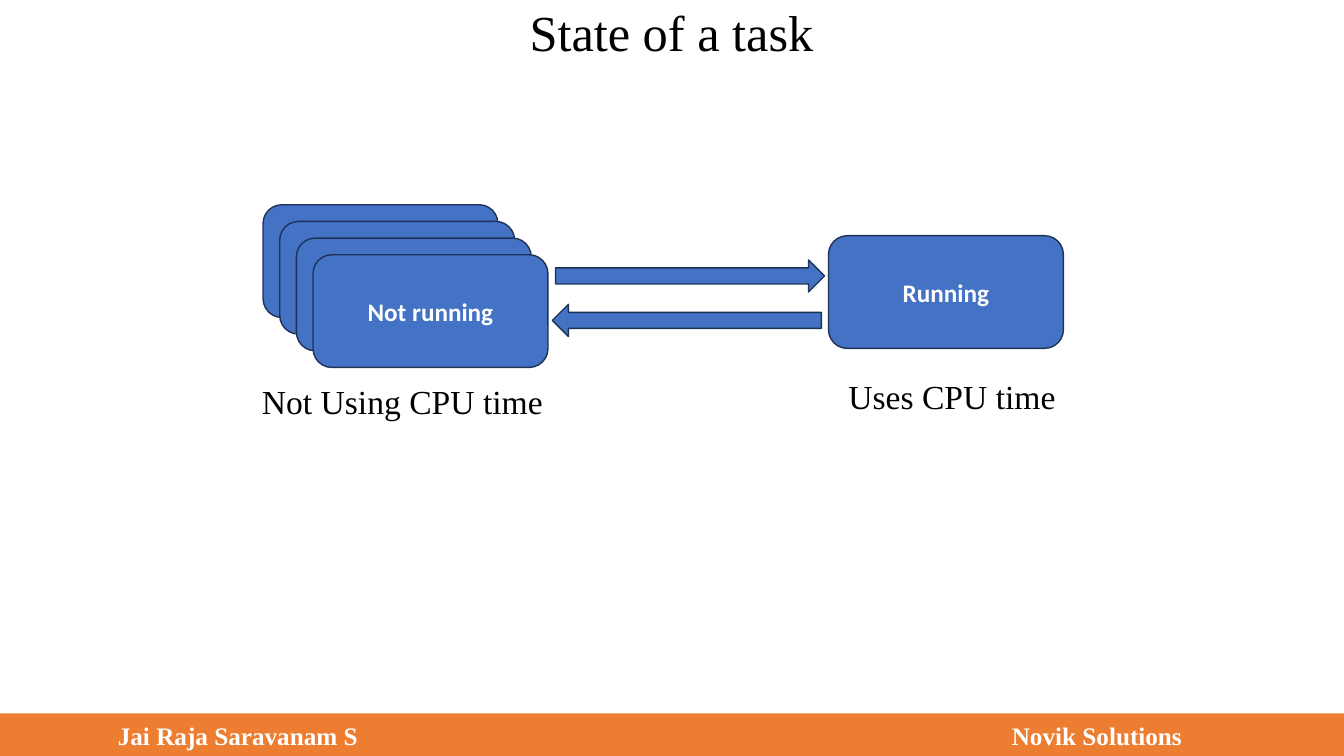
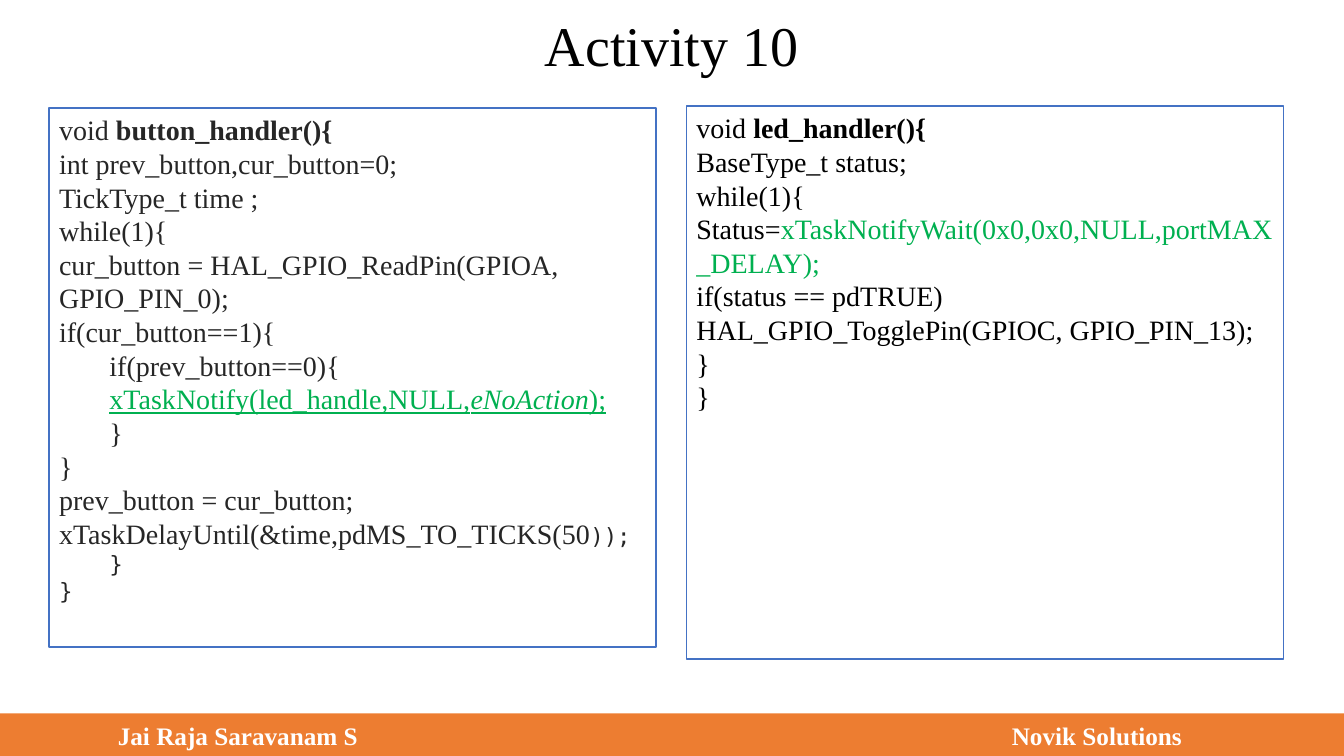
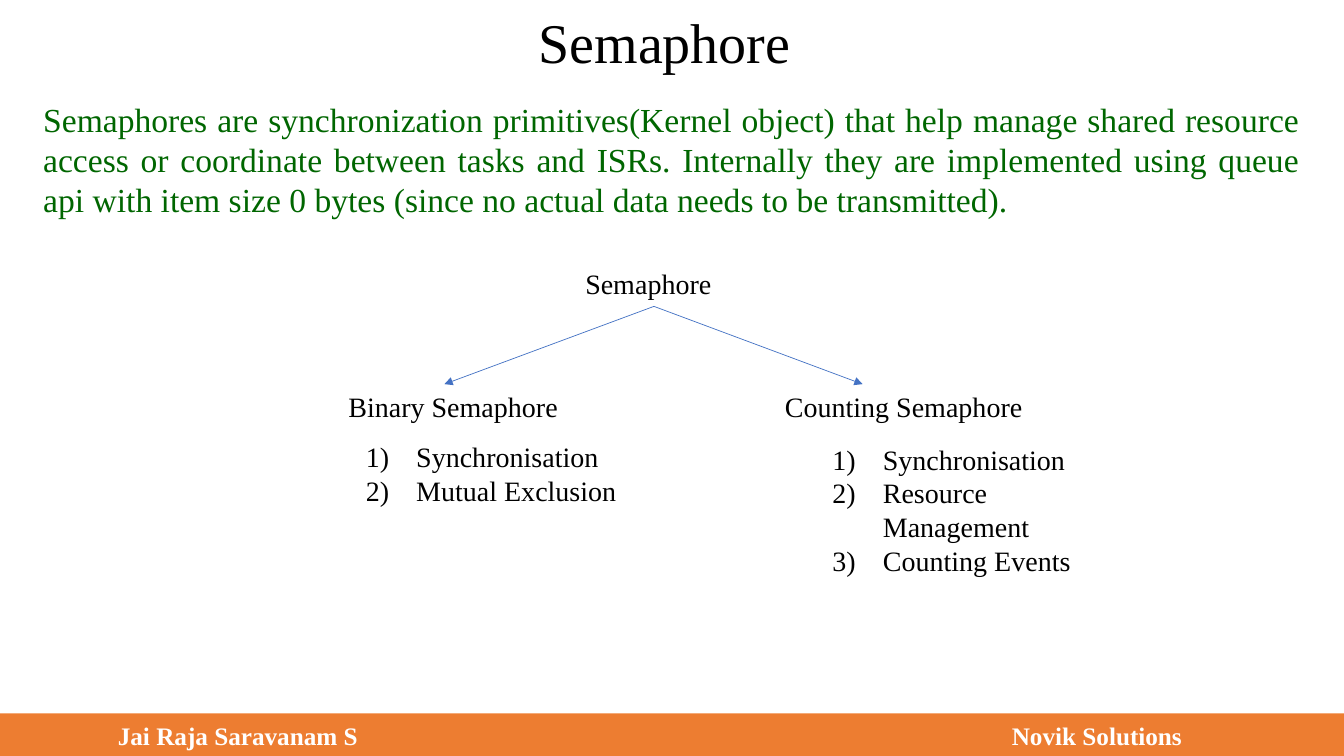
from lxml import etree
from pptx import Presentation
from pptx.dml.color import RGBColor
from pptx.enum.shapes import MSO_CONNECTOR, MSO_SHAPE
from pptx.enum.text import MSO_ANCHOR, PP_ALIGN
from pptx.oxml.ns import qn
from pptx.util import Cm, Pt

RECT, ROUNDED = MSO_SHAPE.RECTANGLE, MSO_SHAPE.ROUNDED_RECTANGLE
RIGHT_ARROW, LEFT_ARROW = MSO_SHAPE.RIGHT_ARROW, MSO_SHAPE.LEFT_ARROW
STRAIGHT = MSO_CONNECTOR.STRAIGHT
TOP, MIDDLE = MSO_ANCHOR.TOP, MSO_ANCHOR.MIDDLE
LEFT, CENTER, JUSTIFY = PP_ALIGN.LEFT, PP_ALIGN.CENTER, PP_ALIGN.JUSTIFY

COLORS = {
    "black": "000000",
    "white": "FFFFFF",
    "blue": "4472C4",
    "navy": "1E3256",
    "orange": "ED7D31",
    "code": "262626",
    "call": "00B050",
    "intro": "006600",
}
SERIF, SANS, MONO = "Times New Roman", "Calibri", "DejaVu Sans Mono"

prs = Presentation()
prs.slide_width, prs.slide_height = Cm(33.87), Cm(19.05)


def add_box(slide, at, paragraphs=(), kind=None, fill=None, line=None, size=20,
            color="black", font=SERIF, bold=False, align=LEFT, anchor=TOP, spacing=None):
    """Add a text box, or a shape of the given kind; a paragraph is a string or (text, style) runs."""
    place = [Cm(length) for length in at]
    if kind is None:
        box = slide.shapes.add_textbox(*place)
    else:
        box = slide.shapes.add_shape(kind, *place)
        box.shadow.inherit = False
        box.fill.solid()
        box.fill.fore_color.rgb = RGBColor.from_string(COLORS[fill])
        if line:
            box.line.color.rgb = RGBColor.from_string(COLORS[line])
            box.line.width = Pt(1)
        else:
            box.line.fill.background()
    frame = box.text_frame
    frame.word_wrap = True
    frame.vertical_anchor = anchor
    for number, runs in enumerate(paragraphs):
        paragraph = frame.add_paragraph() if number else frame.paragraphs[0]
        paragraph.alignment = align
        if spacing:
            paragraph.line_spacing = spacing
        for text, style in [(runs, {})] if isinstance(runs, str) else runs:
            run = paragraph.add_run()
            run.text = text
            run.font.name = style.get("font", font)
            run.font.size = Pt(style.get("size", size))
            run.font.bold = style.get("bold", bold)
            run.font.italic = style.get("italic", False)
            run.font.underline = style.get("underline", False)
            run.font.color.rgb = RGBColor.from_string(COLORS[style.get("color", color)])
    return box


def add_slide(title, top, size=40):
    """Add a blank slide with the shared title and footer band."""
    slide = prs.slides.add_slide(prs.slide_layouts[6])
    add_box(slide, (1.52, top, 30.81, 1.68), [title], size=size, align=CENTER, spacing=0.9)
    footer = add_box(slide, (0, 17.98, 33.87, 1.08), ["Jai Raja Saravanam S\tNovik Solutions"],
                     RECT, "orange", size=18, color="white", bold=True, anchor=MIDDLE)
    footer.text_frame.margin_left = Cm(2.97)
    properties = footer.text_frame.paragraphs[0]._p.get_or_add_pPr()
    tabs = etree.SubElement(properties, qn("a:tabLst"))
    etree.SubElement(tabs, qn("a:tab"), pos=str(Cm(22.53)), algn="l")
    return slide


# Slide 1: task states
slide = add_slide("State of a task", 0.08, size=36)
state_style = dict(kind=ROUNDED, fill="blue", line="navy", size=18, color="white",
                   font=SANS, bold=True, align=CENTER, anchor=MIDDLE)
state_width, state_height, stack_step = 5.92, 2.84, 0.42
for level, label in enumerate([[], [], [], ["Not running"]]):
    offset = level * stack_step
    add_box(slide, (6.63 + offset, 5.16 + offset, state_width, state_height), label, **state_style)
add_box(slide, (20.88, 5.94, state_width, state_height), ["Running"], **state_style)

for arrow, left, top in [(RIGHT_ARROW, 14, 6.55), (LEFT_ARROW, 13.92, 7.67)]:
    add_box(slide, (left, top, 6.78, 0.81), kind=arrow, fill="blue", line="navy")

for caption, at in [("Uses CPU time", (21.13, 9.47, 5.92, 1.5)),
                    ("Not Using CPU time", (6.35, 9.6, 7.7, 1.78))]:
    add_box(slide, at, [caption], size=24, spacing=0.9)

# Slide 2: the two task handlers
slide = add_slide("Activity 10", 0.33)
bold, call, mono = {"bold": True}, {"color": "call"}, {"font": MONO, "size": 16}
notify = {"color": "call", "underline": True}
button_code = [
    [("void ", {}), ("button_handler(){", bold)],
    "int prev_button,cur_button=0;",
    "TickType_t time ;",
    "while(1){",
    "cur_button = HAL_GPIO_ReadPin(GPIOA, GPIO_PIN_0);",
    "if(cur_button==1){",
    "\tif(prev_button==0){",
    [("\t", call), ("xTaskNotify(led_handle,NULL,", notify),
     ("eNoAction", {**notify, "italic": True}), (");", notify)],
    "\t}",
    "}",
    "prev_button = cur_button;",
    [("xTaskDelayUntil(&time,pdMS_TO_TICKS(50", {}), ("));", mono)],
    [("\t}", mono)],
    [("}", mono)],
]
led_code = [
    [("void ", {}), ("led_handler(){", bold)],
    "BaseType_t status;",
    "while(1){",
    [("Status=", {}), ("xTaskNotifyWait(0x0,0x0,NULL,portMAX_DELAY);", call)],
    "if(status == pdTRUE)",
    "HAL_GPIO_TogglePin(GPIOC, GPIO_PIN_13);",
    "}",
    "}",
]
for code, at, color in [(button_code, (1.24, 2.72, 15.29, 13.59), "code"),
                        (led_code, (17.3, 2.67, 15.04, 13.94), "black")]:
    add_box(slide, at, code, RECT, "white", "blue", color=color)

# Slide 3: semaphore types
slide = add_slide("Semaphore ", 0.25)
add_box(slide, (0.84, 2.36, 32.16, 3.4), [
    "Semaphores are synchronization primitives(Kernel object) that help manage shared resource "
    "access or coordinate between tasks and ISRs. Internally they are implemented using queue "
    "api with item size 0 bytes (since no actual data needs to be transmitted)."
], size=24, color="intro", align=JUSTIFY)
root = add_box(slide, (14.5, 6.6, 3.96, 1.12), ["Semaphore"])

branch_top = 9.68
branches = [
    ("Binary Semaphore", 8.53, 5.94, 11.2, (8.97, 10.95, 7.49, 1.96),
     ["Synchronisation", "Mutual Exclusion"]),
    ("Counting Semaphore", 19.53, 7.72, 21.74, (20.73, 11.02, 7.49, 3.68),
     ["Synchronisation", "Resource Management", "Counting Events"]),
]
for name, left, width, arrow_x, uses_at, uses in branches:
    add_box(slide, (left, branch_top, width, 1.12), [name])

    # Arrow from the root
    branch = slide.shapes.add_connector(STRAIGHT, Cm(16.48), Cm(7.72), Cm(arrow_x), Cm(branch_top))
    branch.begin_connect(root, 2)
    branch.line.color.rgb = RGBColor.from_string(COLORS["blue"])
    branch.line.width = Pt(0.5)
    etree.SubElement(branch.line._get_or_add_ln(), qn("a:tailEnd"), type="triangle")
    etree.SubElement(branch._element.spPr, qn("a:effectLst"))

    # Numbered uses
    uses_list = add_box(slide, uses_at, uses)
    for paragraph in uses_list.text_frame.paragraphs:
        properties = paragraph._p.get_or_add_pPr()
        properties.set("marL", str(Cm(1.27)))
        properties.set("indent", str(-Cm(1.27)))
        etree.SubElement(properties, qn("a:buAutoNum"), type="arabicParenR")

prs.save("out.pptx")
